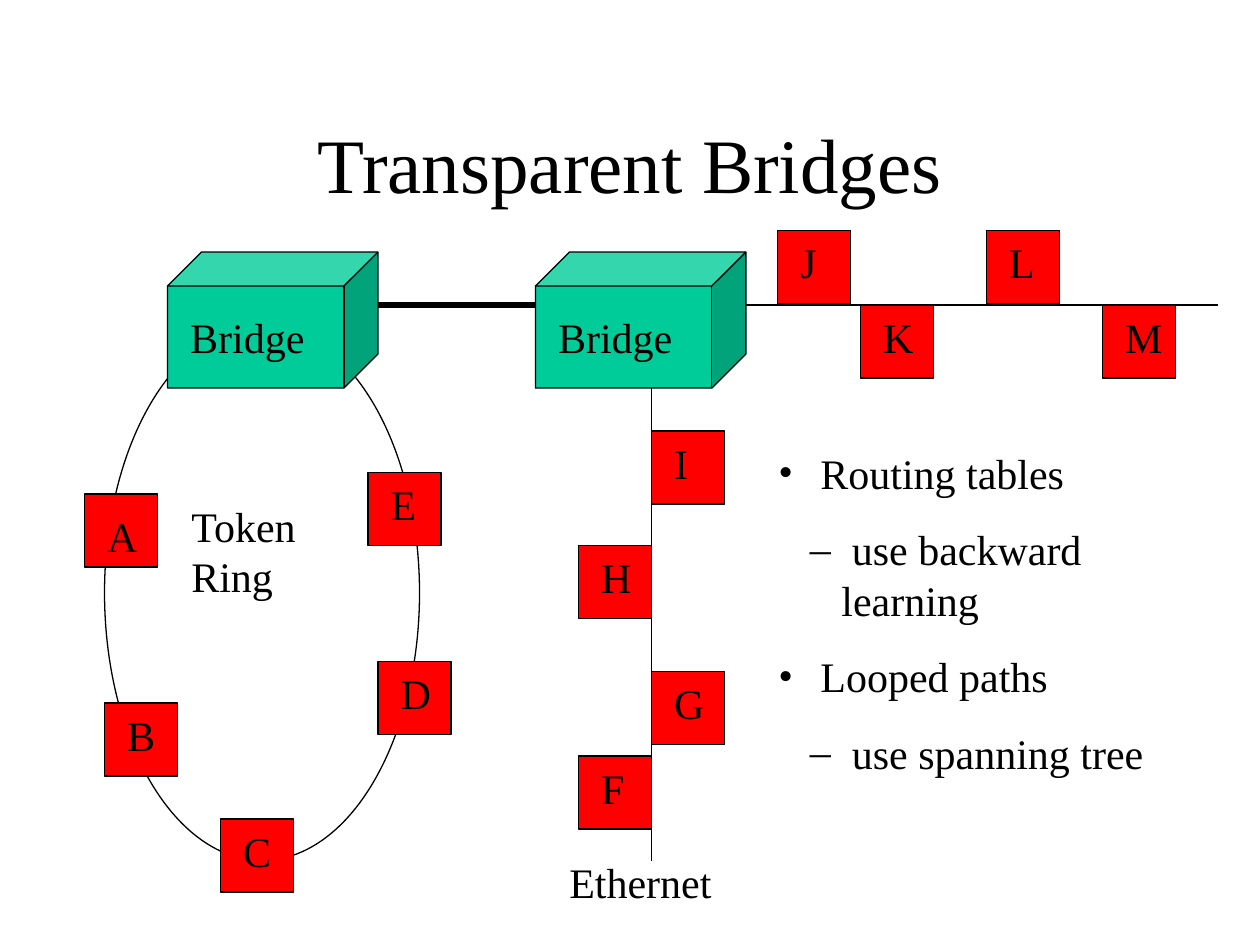
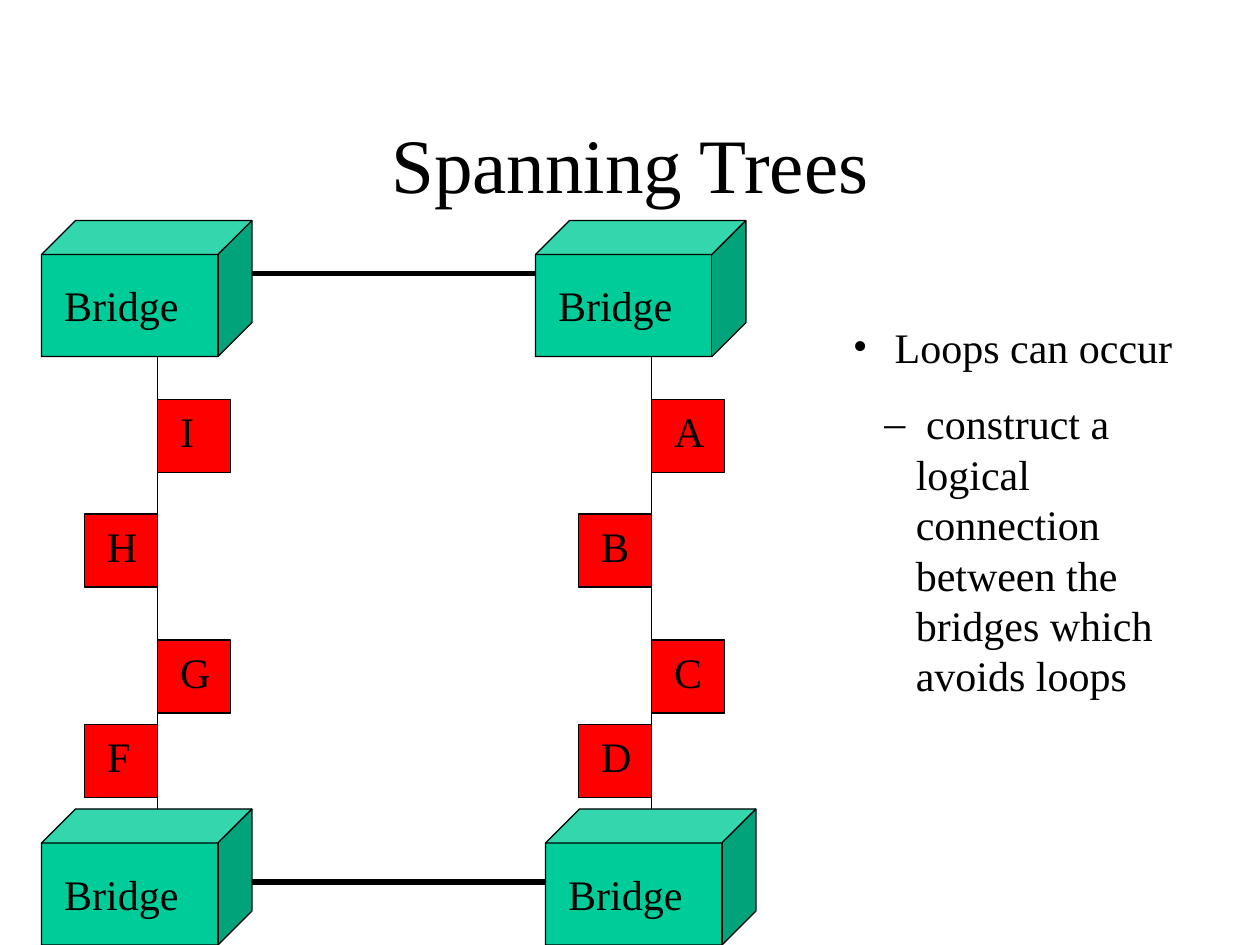
from lxml import etree
from pptx import Presentation
from pptx.dml.color import RGBColor
from pptx.enum.shapes import MSO_CONNECTOR, MSO_SHAPE
from pptx.enum.text import MSO_ANCHOR, PP_ALIGN
from pptx.oxml.ns import qn
from pptx.util import Inches, Pt

BLACK = RGBColor(0x00, 0x00, 0x00)
RED = RGBColor(0xFF, 0x00, 0x00)
GREEN = RGBColor(0x00, 0xCC, 0x99)
FONT = "Times New Roman"
CUBE, SQUARE, OVAL = MSO_SHAPE.CUBE, MSO_SHAPE.RECTANGLE, MSO_SHAPE.OVAL
STRAIGHT = MSO_CONNECTOR.STRAIGHT
LEFT, CENTER = PP_ALIGN.LEFT, PP_ALIGN.CENTER
TOP, MIDDLE = MSO_ANCHOR.TOP, MSO_ANCHOR.MIDDLE

HOST_SIZE = 0.58
BRIDGE_WIDTH, BRIDGE_HEIGHT = 1.67, 1.08
BUS_LENGTH = 3.75
HOST_OFFSETS = (0.34, 1.25, 2.25, 2.92)  # host tops, measured from the top of a bus
THIN, THICK = 0.75, 3


def write(paragraph, text, size=24, alignment=LEFT):
    paragraph.alignment = alignment
    run = paragraph.add_run()
    run.text = text
    run.font.name = FONT
    run.font.size = Pt(size)
    run.font.color.rgb = BLACK


def add_block(slide, preset, left, top, width, height, fill=None, text="", text_top=0.05):
    shape = slide.shapes.add_shape(
        preset, Inches(left), Inches(top), Inches(width), Inches(height))
    shape.shadow.inherit = False
    shape.line.color.rgb = BLACK
    shape.line.width = Pt(THIN)
    if fill is None:
        shape.fill.background()
    else:
        shape.fill.solid()
        shape.fill.fore_color.rgb = fill
    if text:
        frame = shape.text_frame
        frame.vertical_anchor = TOP
        frame.margin_left, frame.margin_right = Inches(0.18), 0
        frame.margin_top, frame.margin_bottom = Inches(text_top), 0
        write(frame.paragraphs[0], text)


# Content of the two slides
page_contents = [
    {
        "title": "Transparent Bridges",
        "rings": [(0.83, 2.58, 2.5, 4.25)],
        "links": [(1.67, 2.42, 5.17, 2.42, THICK), (5.92, 2.42, 9.67, 2.42, THIN)],
        "buses": [(5.17, 3.08, "IHGF")],
        "bridges": [(1.33, 2), (4.25, 2)],
        "hosts": [
            ("A", 0.67, 3.92), ("B", 0.83, 5.58), ("C", 1.75, 6.5),
            ("D", 3, 5.25), ("E", 2.92, 3.75),
            ("J", 6.17, 1.83), ("K", 6.83, 2.42), ("L", 7.83, 1.83), ("M", 8.75, 2.42),
        ],
        "labels": [("Token Ring", 1.42, 3.92, 1.25, 0.9), ("Ethernet", 4.42, 6.75, 1.42, 0.5)],
        "list_box": (6.08, 3.5, 3.67, 2.73),
        "list_items": [
            (0, " Routing tables"), (1, " use backward learning"),
            (0, " Looped paths"), (1, " use spanning tree"),
        ],
    },
    {
        "title": "Spanning Trees",
        "rings": [],
        "links": [(1.67, 2.17, 5.17, 2.17, THICK), (1.33, 7, 4.83, 7, THICK)],
        "buses": [(5.17, 2.83, "ABCD"), (1.25, 2.83, "IHGF")],
        "bridges": [(0.33, 1.75), (4.25, 1.75), (0.33, 6.42), (4.33, 6.42)],
        "hosts": [],
        "labels": [],
        "list_box": (6.67, 2.5, 3, 3.11),
        "list_items": [
            (0, " Loops can occur"),
            (1, " construct a logical connection between the bridges which avoids loops"),
        ],
    },
]

presentation = Presentation()
presentation.slide_width = Inches(10)
presentation.slide_height = Inches(7.5)

for content in page_contents:
    slide = presentation.slides.add_slide(presentation.slide_layouts[5])

    # Title
    title = slide.shapes.title
    title.left, title.top = Inches(0.75), Inches(0.67)
    title.width, title.height = Inches(8.5), Inches(1.25)
    title.text_frame.vertical_anchor = MIDDLE
    write(title.text_frame.paragraphs[0], content["title"], 44, CENTER)

    # Token ring
    for ring in content["rings"]:
        add_block(slide, OVAL, *ring)

    # Links and buses, behind the bridges and hosts
    bus_lines = [(x, top, x, top + BUS_LENGTH, THIN) for x, top, _ in content["buses"]]
    for x1, y1, x2, y2, weight in content["links"] + bus_lines:
        connector = slide.shapes.add_connector(
            STRAIGHT, Inches(x1), Inches(y1), Inches(x2), Inches(y2))
        connector.line.color.rgb = BLACK
        connector.line.width = Pt(weight)
        etree.SubElement(connector.element.spPr, qn("a:effectLst"))

    # Hosts alternate right and left along each bus
    hosts = list(content["hosts"])
    for x, top, names in content["buses"]:
        for index, (name, offset) in enumerate(zip(names, HOST_OFFSETS)):
            hosts.append((name, x - HOST_SIZE * (index % 2), top + offset))
    for name, left, top in hosts:
        text_top = 0.13 if (name, left) == ("A", 0.67) else 0.05
        add_block(slide, SQUARE, left, top, HOST_SIZE, HOST_SIZE, RED, name, text_top)

    # Bridges
    for left, top in content["bridges"]:
        add_block(slide, CUBE, left, top, BRIDGE_WIDTH, BRIDGE_HEIGHT, GREEN, "Bridge", 0.2)

    # Network labels and the bullet list
    text_boxes = [(box, [(None, text)]) for text, *box in content["labels"]]
    text_boxes.append((content["list_box"], content["list_items"]))
    for box, items in text_boxes:
        frame = slide.shapes.add_textbox(*[Inches(length) for length in box]).text_frame
        frame.word_wrap = True
        for index, (level, text) in enumerate(items):
            paragraph = frame.add_paragraph() if index else frame.paragraphs[0]
            if level is not None:
                paragraph.level = level
                properties = paragraph._p.get_or_add_pPr()
                properties.set("marL", str(Inches(0.25 * (level + 1))))
                properties.set("indent", str(Inches(-0.25)))
                etree.SubElement(properties, qn("a:buFont"), typeface=FONT)
                etree.SubElement(properties, qn("a:buChar"), char="•–"[level])
            paragraph.space_before = Pt(15 if index else 0)
            write(paragraph, text)

presentation.save("out.pptx")
